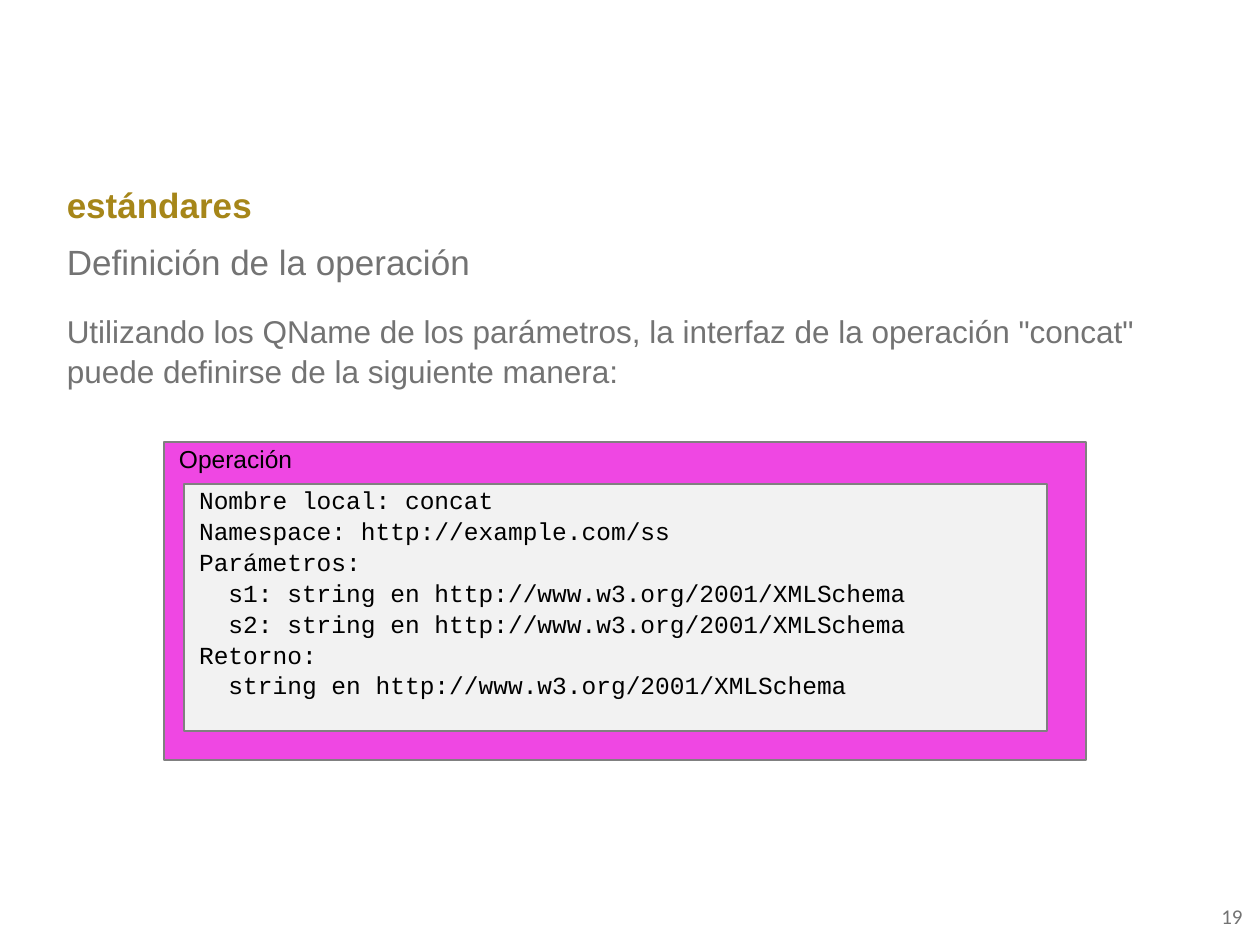
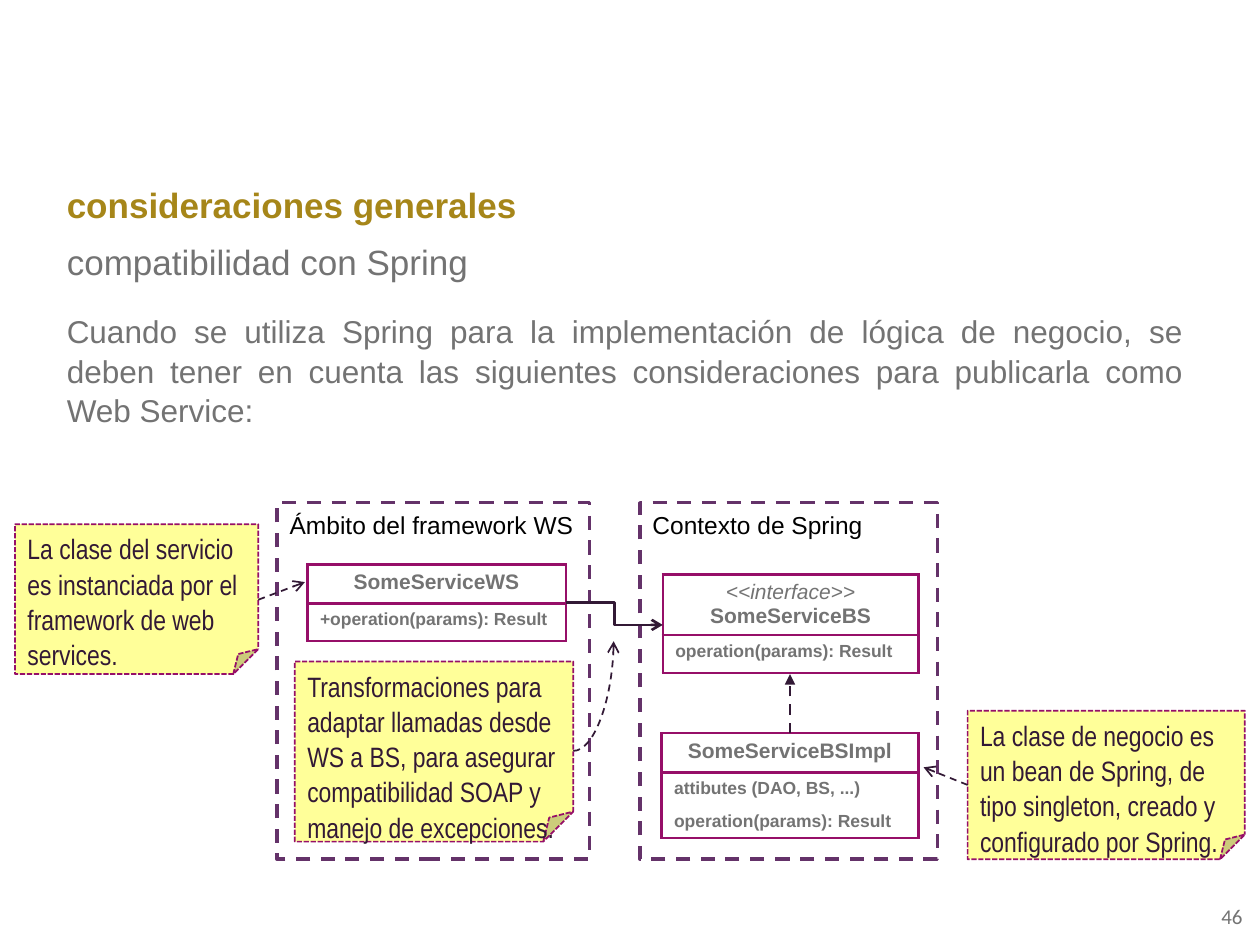
from dataclasses import dataclass

from lxml import etree
from pptx import Presentation
from pptx import util as u
from pptx.dml.color import RGBColor
from pptx.enum import dml, shapes, text
from pptx.oxml.ns import qn

PX = 9144  # 100 px to the inch
Box = tuple[int, int, int, int]
LEFT, CENTER = text.PP_ALIGN.LEFT, text.PP_ALIGN.CENTER
RIGHT, JUSTIFY = text.PP_ALIGN.RIGHT, text.PP_ALIGN.JUSTIFY
DASH, SHORT_DASH = dml.MSO_LINE.DASH, dml.MSO_LINE.SQUARE_DOT


@dataclass(frozen=True)
class Theme:
    gold: str = "A68619"
    gray: str = "737373"
    black: str = "000000"
    white: str = "FFFFFF"
    magenta: str = "EF47E3"
    pale: str = "F2F2F2"
    edge: str = "808080"
    purple: str = "643269"
    plum: str = "960F68"
    ink: str = "321935"
    yellow: str = "FFFF99"
    sans: str = "Arial"
    narrow: str = "Arial Narrow"
    mono: str = "Courier New"
    number: str = "Calibri"
    heading_size: int = 20
    body_size: int = 18
    note_size: int = 16
    label_size: int = 14
    class_size: int = 12
    member_size: int = 10
    leading: float = 1.05


THEME = Theme()


@dataclass(frozen=True)
class Panel:
    box: Box
    lines: tuple[str, ...]
    fill: str | None = None
    line: str = THEME.edge
    width: float = 1
    dash: dml.MSO_LINE | None = None
    kind: shapes.MSO_SHAPE = shapes.MSO_SHAPE.RECTANGLE
    font: str = THEME.sans
    size: int = THEME.label_size
    color: str = THEME.black
    insets: tuple[int, int] = (10, 5)


@dataclass(frozen=True)
class ClassBox:
    left: int
    top: int
    width: int
    name: str
    members: tuple[str, ...]
    rows: tuple[int, ...]
    stereotype: str = ""


@dataclass(frozen=True)
class Arrow:
    start: tuple[int, int]
    end: tuple[int, int]
    width: float = 1
    dash: dml.MSO_LINE | None = DASH
    head: str = "arrow"
    kind: shapes.MSO_CONNECTOR = shapes.MSO_CONNECTOR.STRAIGHT


def rgb(color: str) -> RGBColor:
    return RGBColor.from_string(color)


def scale(*lengths: int) -> list[u.Emu]:
    return [u.Emu(length * PX) for length in lengths]


def write(frame, content: str, *, font: str = THEME.sans, size: int = THEME.body_size,
          color: str = THEME.gray, bold: bool = False, italic: bool = False,
          align: text.PP_ALIGN = LEFT, leading: float = 1.0, plain: bool = False) -> None:
    """Add one formatted paragraph; plain removes an inherited bullet."""
    paragraph = frame.add_paragraph() if frame.text else frame.paragraphs[0]
    paragraph.alignment = align
    paragraph.line_spacing = leading
    paragraph.space_before = u.Pt(0)
    if plain:
        properties = paragraph._p.get_or_add_pPr()
        properties.set("marL", "0")
        properties.set("indent", "0")
        etree.SubElement(properties, qn("a:buNone"))
    run = paragraph.add_run()
    run.text = content
    run.font.name, run.font.size = font, u.Pt(size)
    run.font.bold, run.font.italic = bold, italic
    run.font.color.rgb = rgb(color)


def place(shape, box: Box, anchor: text.MSO_ANCHOR):
    """Position a text holder and return its frame."""
    shape.left, shape.top, shape.width, shape.height = scale(*box)
    frame = shape.text_frame
    frame.word_wrap = True
    frame.auto_size = text.MSO_AUTO_SIZE.NONE
    frame.vertical_anchor = anchor
    return frame


def add_page(presentation, title: str, subtitle: str, body: str, number: int,
             body_height: int, body_align: text.PP_ALIGN = LEFT):
    slide = presentation.slides.add_slide(presentation.slide_layouts[3])
    heading, section, content = slide.placeholders
    middle, top = text.MSO_ANCHOR.MIDDLE, text.MSO_ANCHOR.TOP
    write(place(heading, (43, 139, 906, 47), middle), title,
          size=THEME.heading_size, color=THEME.gold, bold=True)
    write(place(section, (43, 186, 906, 47), top), subtitle,
          size=THEME.heading_size, plain=True)
    write(place(content, (43, 241, 906, body_height), top), body,
          align=body_align, leading=THEME.leading, plain=True)
    box = (924, 707, 72, 40)
    footer = slide.shapes.add_textbox(*scale(*box))
    write(place(footer, box, middle), str(number), font=THEME.number,
          size=THEME.class_size, align=RIGHT)
    return slide


def add_panel(slide, panel: Panel) -> None:
    shape = slide.shapes.add_shape(panel.kind, *scale(*panel.box))
    shape.shadow.inherit = False
    if panel.fill:
        shape.fill.solid()
        shape.fill.fore_color.rgb = rgb(panel.fill)
    else:
        shape.fill.background()
    shape.line.color.rgb = rgb(panel.line)
    shape.line.width = u.Pt(panel.width)
    if panel.dash:
        shape.line.dash_style = panel.dash
    frame = place(shape, panel.box, text.MSO_ANCHOR.TOP)
    side, edge = scale(*panel.insets)
    frame.margin_left = frame.margin_right = side
    frame.margin_top = frame.margin_bottom = edge
    for line in panel.lines:
        write(frame, line, font=panel.font, size=panel.size, color=panel.color,
              leading=THEME.leading)


def set_borders(cell, hidden: str) -> None:
    """Draw the cell's edges, except those whose letter is in hidden."""
    properties = cell._tc.get_or_add_tcPr()
    for side in "LRTB":
        line = etree.SubElement(properties, qn(f"a:ln{side}"), w=str(u.Pt(1.5)))
        if side in hidden:
            etree.SubElement(line, qn("a:noFill"))
        else:
            fill = etree.SubElement(line, qn("a:solidFill"))
            etree.SubElement(fill, qn("a:srgbClr"), val=THEME.plum)


def add_class(slide, item: ClassBox) -> None:
    table = slide.shapes.add_table(
        len(item.rows), 1, *scale(item.left, item.top, item.width, sum(item.rows))).table
    table.first_row = table.horz_banding = False
    last = len(item.rows) - 1
    for index, height in enumerate(item.rows):
        table.rows[index].height = u.Emu(height * PX)
        cell = table.cell(index, 0)
        hidden = ("T" if index > 1 else "") + ("B" if 0 < index < last else "")
        set_borders(cell, hidden)
        cell.fill.solid()
        cell.fill.fore_color.rgb = rgb(THEME.white)
        if index:
            write(cell.text_frame, item.members[index - 1], size=THEME.member_size, bold=True)
            continue
        if item.stereotype:
            write(cell.text_frame, item.stereotype, size=THEME.class_size,
                  italic=True, align=CENTER)
        write(cell.text_frame, item.name, size=THEME.class_size, bold=True, align=CENTER)


def add_arrow(slide, arrow: Arrow) -> None:
    connector = slide.shapes.add_connector(arrow.kind, *scale(*arrow.start, *arrow.end))
    connector.line.color.rgb = rgb(THEME.ink)
    connector.line.width = u.Pt(arrow.width)
    if arrow.dash:
        connector.line.dash_style = arrow.dash
    properties = connector._element.spPr
    etree.SubElement(properties.find(qn("a:ln")), qn("a:tailEnd"), type=arrow.head)
    etree.SubElement(properties, qn("a:effectLst"))
    if arrow.kind == shapes.MSO_CONNECTOR.CURVE:  # a single quarter turn
        properties.find(qn("a:prstGeom")).set("prst", "curvedConnector2")


def context(box: Box, label: str) -> Panel:
    return Panel(box, (label,), line=THEME.purple, width=2, dash=DASH)


def note(box: Box, content: str) -> Panel:
    return Panel(box, (content,), THEME.yellow, THEME.plum, dash=SHORT_DASH,
                 kind=shapes.MSO_SHAPE.FOLDED_CORNER, font=THEME.narrow,
                 size=THEME.note_size, color=THEME.ink)


OPERATION = (
    Panel((130, 351, 732, 252), ("Operación",), THEME.magenta, insets=(12, 0)),
    Panel((146, 384, 685, 196), (
        "Nombre local: concat",
        "Namespace: http://example.com/ss",
        "Parámetros:",
        "  s1: string en http://www.w3.org/2001/XMLSchema",
        "  s2: string en http://www.w3.org/2001/XMLSchema",
        "Retorno:",
        "  string en http://www.w3.org/2001/XMLSchema",
    ), THEME.pale, font=THEME.mono, insets=(12, 0)),
)

CONTEXTS = (
    context((508, 399, 236, 283), "Contexto de Spring"),
    context((220, 399, 248, 283), "Ámbito del framework WS"),
)

CLASSES = (
    ClassBox(526, 456, 203, "SomeServiceBS", ("operation(params): Result",),
             (48, 30), "<<interface>>"),
    ClassBox(525, 582, 204, "SomeServiceBSImpl",
             ("attibutes (DAO, BS, ...)", "operation(params): Result"), (31, 26, 26)),
    ClassBox(244, 448, 205, "SomeServiceWS", ("+operation(params): Result",), (31, 30)),
)

NOTES = (
    note((234, 525, 221, 143), "Transformaciones para adaptar llamadas desde WS a BS, "
         "para asegurar compatibilidad SOAP y manejo de excepciones."),
    note((12, 416, 193, 119),
         "La clase del servicio es instanciada por el framework de web services."),
    note((768, 564, 220, 118), "La clase de negocio es un bean de Spring, de tipo "
         "singleton, creado y configurado por Spring."),
)

ARROWS = (
    Arrow((627, 582), (627, 535), 1.5, head="triangle"),
    Arrow((449, 478), (526, 496), 1.5, None, kind=shapes.MSO_CONNECTOR.ELBOW),
    Arrow((455, 596), (487, 509), kind=shapes.MSO_CONNECTOR.CURVE),
    Arrow((205, 476), (242, 462)),
    Arrow((768, 623), (733, 609)),
)


def main() -> None:
    presentation = Presentation()
    presentation.slide_width, presentation.slide_height = scale(1000, 750)

    # Operation definition
    slide = add_page(
        presentation, "estándares", "Definición de la operación",
        'Utilizando los QName de los parámetros, la interfaz de la operación "concat" '
        "puede definirse de la siguiente manera:", 19, body_height=79)
    for panel in OPERATION:
        add_panel(slide, panel)

    # Spring compatibility diagram
    slide = add_page(
        presentation, "consideraciones generales", "compatibilidad con Spring",
        "Cuando se utiliza Spring para la implementación de lógica de negocio, se deben "
        "tener en cuenta las siguientes consideraciones para publicarla como Web Service:",
        46, body_height=457, body_align=JUSTIFY)
    for panel in CONTEXTS:
        add_panel(slide, panel)
    for item in CLASSES:
        add_class(slide, item)
    for panel in NOTES:
        add_panel(slide, panel)
    for arrow in ARROWS:
        add_arrow(slide, arrow)

    presentation.save("out.pptx")


if __name__ == "__main__":
    main()
